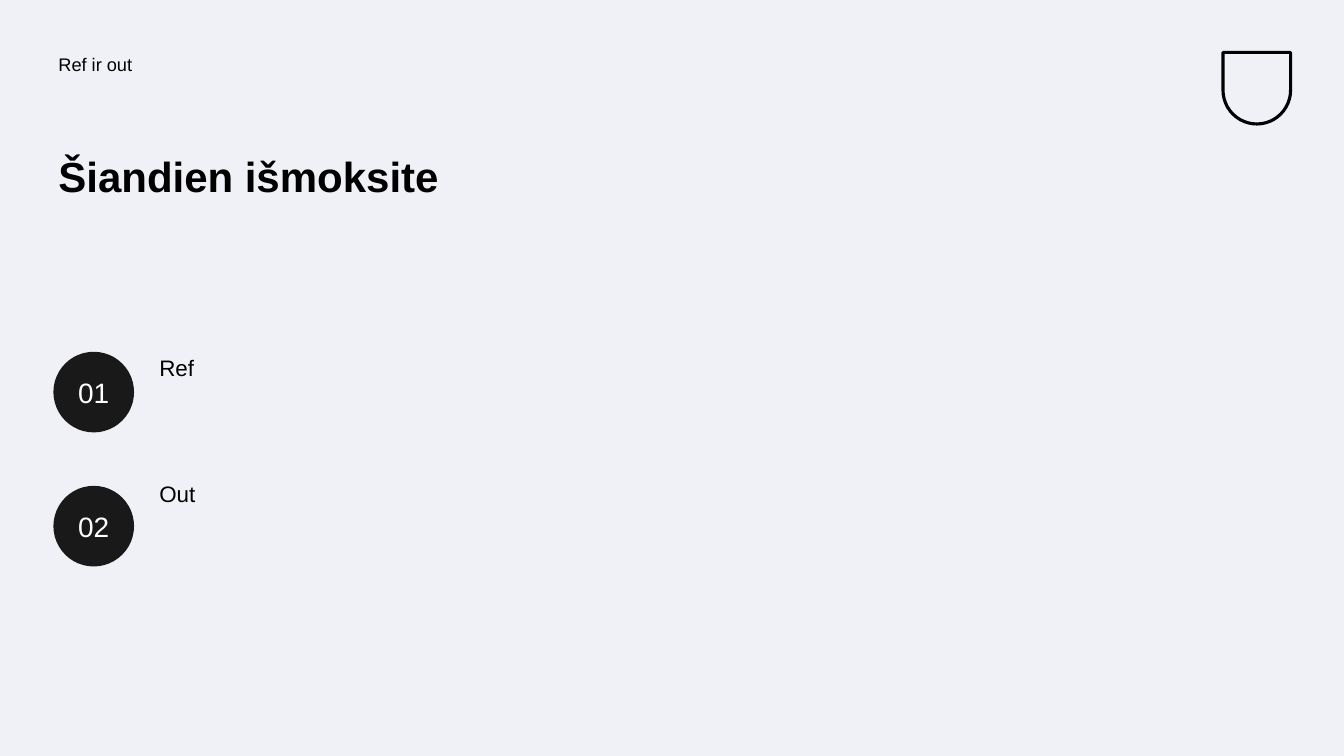
from pptx import Presentation
from pptx.dml.color import RGBColor
from pptx.enum.shapes import MSO_SHAPE as Shape
from pptx.enum.text import MSO_ANCHOR as Anchor, PP_ALIGN as Align
from pptx.util import Inches, Pt

INK, PAPER, DISC, NUMERAL = "000000", "F0F1F6", "191919", "FEFFFF"


def color(hex_code):
    return RGBColor.from_string(hex_code)


def write(shape, text, size, ink=INK, bold=False, spacing=0.9):
    """Put one Arial paragraph in the shape, with equal margins."""
    frame = shape.text_frame
    frame.word_wrap = True
    frame.margin_left = frame.margin_right = Inches(0.05)
    frame.margin_top = frame.margin_bottom = Inches(0.05)
    paragraph = frame.paragraphs[0]
    paragraph.text = text
    paragraph.line_spacing = spacing
    font = paragraph.runs[0].font
    font.name, font.size, font.bold = "Arial", Pt(size), bold
    font.color.rgb = color(ink)
    return frame


deck = Presentation()
deck.slide_width, deck.slide_height = Inches(13.33), Inches(7.5)
slide = deck.slides.add_slide(deck.slide_layouts[6])
slide.background.fill.solid()
slide.background.fill.fore_color.rgb = color(PAPER)
shapes = slide.shapes

# Columns and rows shared by the content
margin = Inches(0.53)
topic_left = margin + Inches(1)
row = deck.slide_height // 15
disc_size = Inches(0.8)

# Plain shield in the corner
shield = shapes.add_shape(Shape.ROUND_2_SAME_RECTANGLE,
                          Inches(12.13), Inches(0.52), Inches(0.67), Inches(0.71))
shield.adjustments[0] = 0.5
shield.rotation = 180
shield.shadow.inherit = False
shield.fill.background()
shield.line.color.rgb = color(INK)
shield.line.width = Pt(2.25)

# Headings
lesson = shapes.add_textbox(margin, row, Inches(6.14), row)
write(lesson, "Ref ir out", 13)
heading = shapes.add_textbox(margin, 3 * row, Inches(5.64), 3 * row)
write(heading, "Šiandien išmoksite", 30, bold=True)

# Numbered topics
first_top = Inches(3.49)
topic_step, disc_step = Inches(1.25), Inches(1.33)
for index, topic in enumerate(["Ref", "Out"]):
    label = shapes.add_textbox(topic_left, first_top + index * topic_step,
                               Inches(4.63), 2 * row)
    write(label, topic, 16)

    disc = shapes.add_shape(Shape.OVAL, margin, first_top + index * disc_step,
                            disc_size, disc_size)
    disc.shadow.inherit = False
    disc.fill.solid()
    disc.fill.fore_color.rgb = color(DISC)
    disc.line.fill.background()
    numeral = write(disc, f"{index + 1:02}", 20, NUMERAL, spacing=1.0)
    numeral.vertical_anchor = Anchor.MIDDLE
    numeral.paragraphs[0].alignment = Align.CENTER

deck.save("out.pptx")
